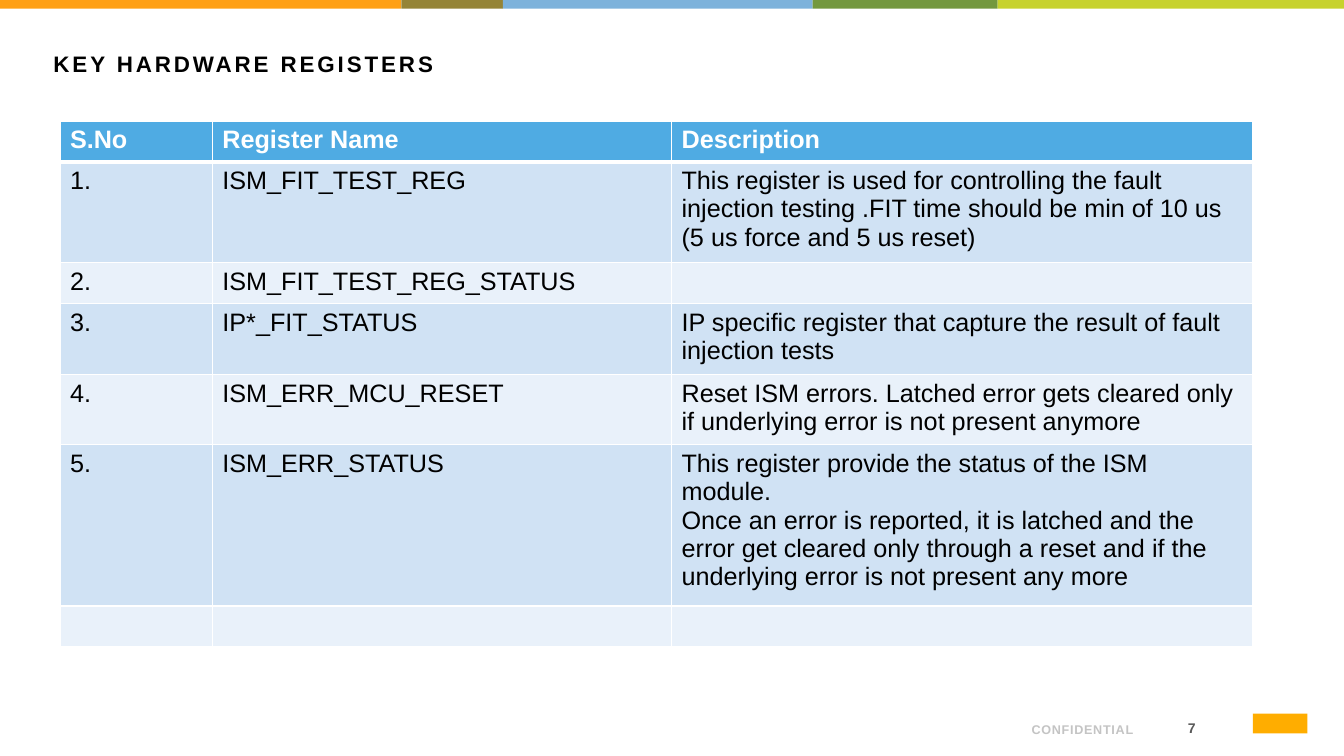
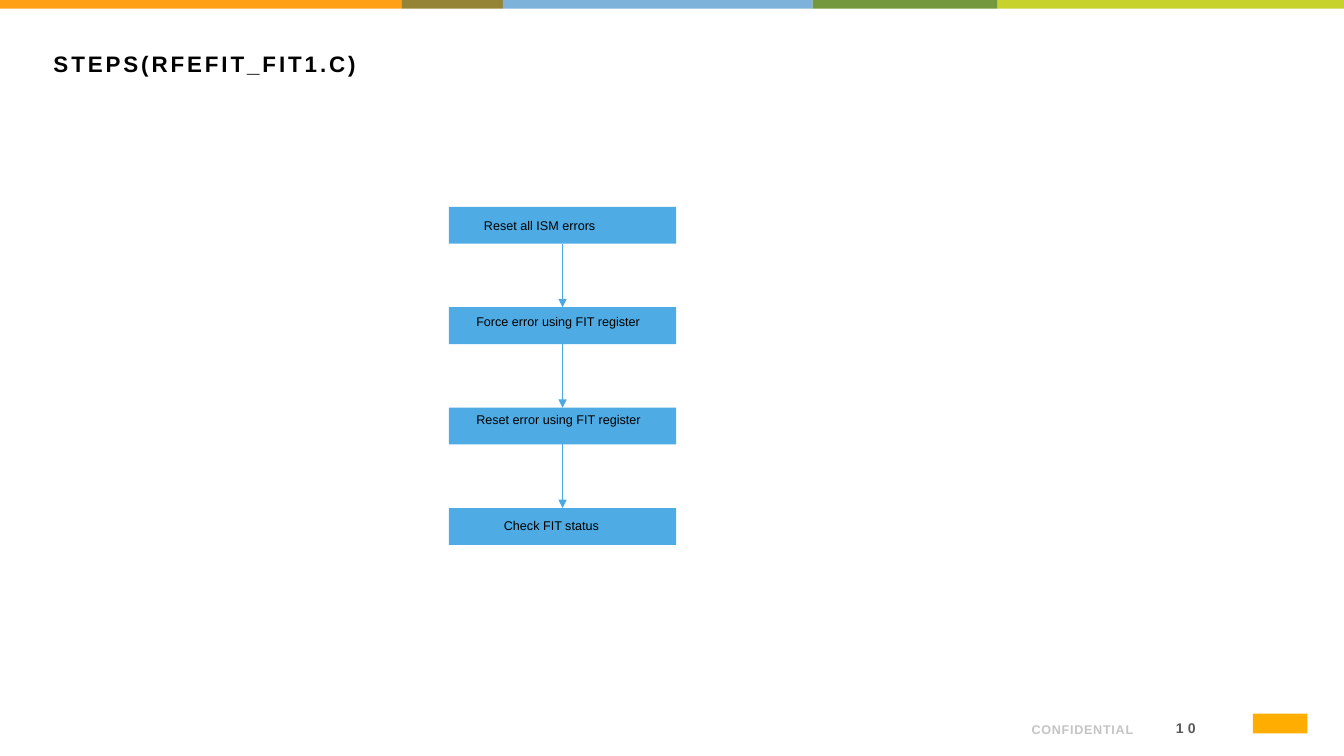
"""Build two slides on fault injection registers and test steps."""
from itertools import pairwise

from lxml import etree
from pptx import Presentation
from pptx.dml.color import RGBColor
from pptx.enum.shapes import MSO_CONNECTOR, MSO_SHAPE
from pptx.enum.text import MSO_ANCHOR, MSO_AUTO_SIZE, PP_ALIGN
from pptx.oxml.ns import qn
from pptx.util import Pt

RECTANGLE = MSO_SHAPE.RECTANGLE
STRAIGHT = MSO_CONNECTOR.STRAIGHT
TOP, MIDDLE, BOTTOM = MSO_ANCHOR.TOP, MSO_ANCHOR.MIDDLE, MSO_ANCHOR.BOTTOM
LEFT, RIGHT = PP_ALIGN.LEFT, PP_ALIGN.RIGHT
NO_FIT = MSO_AUTO_SIZE.NONE

FONT = "Arial"
BLACK = RGBColor(0x00, 0x00, 0x00)
WHITE = RGBColor(0xFF, 0xFF, 0xFF)
PAGE_GREY = RGBColor(0x59, 0x59, 0x59)
FOOTER_GREY = RGBColor(0xC4, 0xC4, 0xC4)
BLUE = RGBColor(0x4F, 0xAB, 0xE3)
ARROW_BLUE = RGBColor(0x4A, 0xA8, 0xE2)
ROW_DARK = RGBColor(0xD0, 0xE2, 0xF4)
ROW_LIGHT = RGBColor(0xE9, 0xF1, 0xFA)
MARK_ORANGE = RGBColor(0xFF, 0xAD, 0x00)

SLIDE_WIDTH, SLIDE_HEIGHT = 960, 540
BAND_HEIGHT = 6.2
BANDS = (
    (286.6, RGBColor(0xFF, 0xA0, 0x15)),
    (72.6, RGBColor(0x95, 0x84, 0x36)),
    (221.2, RGBColor(0x7D, 0xB2, 0xDB)),
    (132.2, RGBColor(0x73, 0x98, 0x3E)),
    (247.4, RGBColor(0xC7, 0xD2, 0x2D)),
)

COLUMN_WIDTHS = (108.9, 328, 415.4)
ROW_HEIGHTS = (29.2, 67.1, 29.2, 47.4, 47.4, 108, 29.2)
REGISTERS = (
    ("S.No", "Register Name", "Description"),
    ("1.", "ISM_FIT_TEST_REG",
     "This register is used for controlling the fault injection testing .FIT time "
     "should be min of 10 us (5 us force and 5 us reset)"),
    ("2.", "ISM_FIT_TEST_REG_STATUS", ""),
    ("3.", "IP*_FIT_STATUS",
     "IP specific register that capture the result of fault injection tests"),
    ("4.", "ISM_ERR_MCU_RESET",
     "Reset ISM errors. Latched error gets cleared only if underlying error is not "
     "present anymore"),
    ("5.", "ISM_ERR_STATUS",
     "This register provide the status of the ISM module.\n"
     "Once an error is reported, it is latched and the error get cleared only "
     "through a reset and if the underlying error is not present any more"),
    ("", "", ""),
)

STEP_LEFT, STEP_TOP, STEP_PITCH = 320.7, 147.8, 71.7
STEP_WIDTH, STEP_HEIGHT = 162.3, 26.3
STEPS = (
    ("Reset all ISM errors", 25, 7.7),
    ("Force error using FIT register", 19.5, 4.8),
    ("Reset error using FIT register", 19.5, 2.7),
    ("Check FIT status", 39.2, 7),
)


def add_span(para, text, size, color, bold=False, spacing=0):
    """Add one formatted run to a paragraph."""
    span = para.add_run()
    span.text = text
    span.font.name = FONT
    span.font.size = Pt(size)
    span.font.bold = bold
    span.font.color.rgb = color
    if spacing:
        span._r.get_or_add_rPr().set("spc", str(round(spacing * 100)))


def set_insets(frame, left, top, right, bottom):
    """Set the four inner margins of a text frame."""
    frame.margin_left, frame.margin_top = Pt(left), Pt(top)
    frame.margin_right, frame.margin_bottom = Pt(right), Pt(bottom)


def add_rectangle(page, left, top, width, height, color):
    """Add a plain filled rectangle."""
    box = page.shapes.add_shape(RECTANGLE, Pt(left), Pt(top), Pt(width), Pt(height))
    box.shadow.inherit = False
    box.fill.solid()
    box.fill.fore_color.rgb = color
    box.line.fill.background()
    return box


def add_footer_text(page, place, anchor, text, size, color, spacing):
    """Add a bold right-aligned footer text box."""
    box = page.shapes.add_textbox(*map(Pt, place))
    frame = box.text_frame
    frame.word_wrap = True
    frame.vertical_anchor = anchor
    para = frame.paragraphs[0]
    para.alignment = RIGHT
    add_span(para, text, size, color, True, spacing)
    return box


def prepare_layout(deck):
    """Keep only the title on the Title Only layout and place it."""
    layout = deck.slide_layouts[5]
    for holder in list(layout.placeholders):
        if holder.placeholder_format.idx:
            holder.element.getparent().remove(holder.element)
    title = layout.placeholders[0]
    title.left, title.top = Pt(31), Pt(32.4)
    title.width, title.height = Pt(900), Pt(51.8)
    return layout


def add_shared_parts(page, layout):
    """Draw the bands, mark and footer once and move them to the layout."""
    parts = []
    left = 0
    for width, color in BANDS:
        parts.append(add_rectangle(page, left, 0, width, BAND_HEIGHT, color))
        left += width
    parts.append(add_rectangle(page, 895, 509.8, 38.9, 14, MARK_ORANGE))
    parts.append(add_footer_text(page, (612.7, 505.4, 203.8, 24.5), BOTTOM,
                                 "CONFIDENTIAL", 9, FOOTER_GREY, 0.5))
    for part in parts:
        layout.shapes.element.append(part.element)


def add_page(deck, layout, title, number):
    """Add a slide with its title and page number."""
    page = deck.slides.add_slide(layout)
    frame = page.shapes.title.text_frame
    frame.word_wrap = True
    frame.auto_size = NO_FIT
    frame.vertical_anchor = TOP
    para = frame.paragraphs[0]
    para.alignment = LEFT
    add_span(para, title, 16, BLACK, True, 2.1)
    box = add_footer_text(page, (812.2, 509, 46.8, 21.6), MIDDLE,
                          number, 10, PAGE_GREY, 3)
    set_insets(box.text_frame, 5, 2.9, 5, 2.9)
    return page


def set_borders(cell, top, bottom):
    """Give a cell white borders of the given top and bottom widths."""
    properties = cell._tc.get_or_add_tcPr()
    sides = (("L", 1), ("R", 1), ("T", top), ("B", bottom))
    for index, (side, width) in enumerate(sides):
        line = etree.Element(qn(f"a:ln{side}"), w=str(Pt(width)))
        fill = etree.SubElement(line, qn("a:solidFill"))
        etree.SubElement(fill, qn("a:srgbClr"), val=str(WHITE))
        properties.insert(index, line)


def fill_cell(cell, text, row):
    """Fill, border and write one cell according to its row."""
    header = row == 0
    cell.fill.solid()
    cell.fill.fore_color.rgb = BLUE if header else (ROW_LIGHT, ROW_DARK)[row % 2]
    set_borders(cell, 3 if row == 1 else 1, 3 if header else 1)
    frame = cell.text_frame
    for index, line in enumerate(text.splitlines()):
        para = frame.add_paragraph() if index else frame.paragraphs[0]
        add_span(para, line, 18, WHITE if header else BLACK, header)


def add_register_table(page):
    """Add the table of hardware registers."""
    table = page.shapes.add_table(
        len(REGISTERS), len(COLUMN_WIDTHS), Pt(42.8), Pt(86.4),
        Pt(sum(COLUMN_WIDTHS)), Pt(sum(ROW_HEIGHTS))).table
    table.horz_banding = False
    for column, width in zip(table.columns, COLUMN_WIDTHS):
        column.width = Pt(width)
    for row, (height, texts) in enumerate(zip(ROW_HEIGHTS, REGISTERS)):
        table.rows[row].height = Pt(height)
        for column, text in enumerate(texts):
            fill_cell(table.cell(row, column), text, row)


def add_step(page, index, text, inset_left, inset_top):
    """Add one labelled box of the flow."""
    box = add_rectangle(page, STEP_LEFT, STEP_TOP + index * STEP_PITCH,
                        STEP_WIDTH, STEP_HEIGHT, BLUE)
    frame = box.text_frame
    frame.word_wrap = True
    frame.vertical_anchor = TOP
    set_insets(frame, inset_left, inset_top, 0, 0)
    para = frame.paragraphs[0]
    para.alignment = LEFT
    add_span(para, text, 9, BLACK)
    return box


def add_arrow(page, upper, lower):
    """Connect two boxes with a downward arrow."""
    arrow = page.shapes.add_connector(STRAIGHT, 0, 0, 0, 0)
    arrow.begin_connect(upper, 2)
    arrow.end_connect(lower, 0)
    arrow.line.color.rgb = ARROW_BLUE
    arrow.line.width = Pt(0.75)
    etree.SubElement(arrow.line._get_or_add_ln(), qn("a:tailEnd"), type="triangle")
    etree.SubElement(arrow.element.spPr, qn("a:effectLst"))


def add_flow(page):
    """Add the column of steps and the arrows between them."""
    boxes = [add_step(page, index, *step) for index, step in enumerate(STEPS)]
    for upper, lower in pairwise(boxes):
        add_arrow(page, upper, lower)


def main():
    """Build and save the deck."""
    deck = Presentation()
    deck.slide_width, deck.slide_height = Pt(SLIDE_WIDTH), Pt(SLIDE_HEIGHT)
    layout = prepare_layout(deck)
    registers = add_page(deck, layout, "KEY HARDWARE REGISTERS", "7")
    add_shared_parts(registers, layout)
    add_register_table(registers)
    add_flow(add_page(deck, layout, "STEPS(RFEFIT_FIT1.C)", "10"))
    deck.save("out.pptx")


if __name__ == "__main__":
    main()
